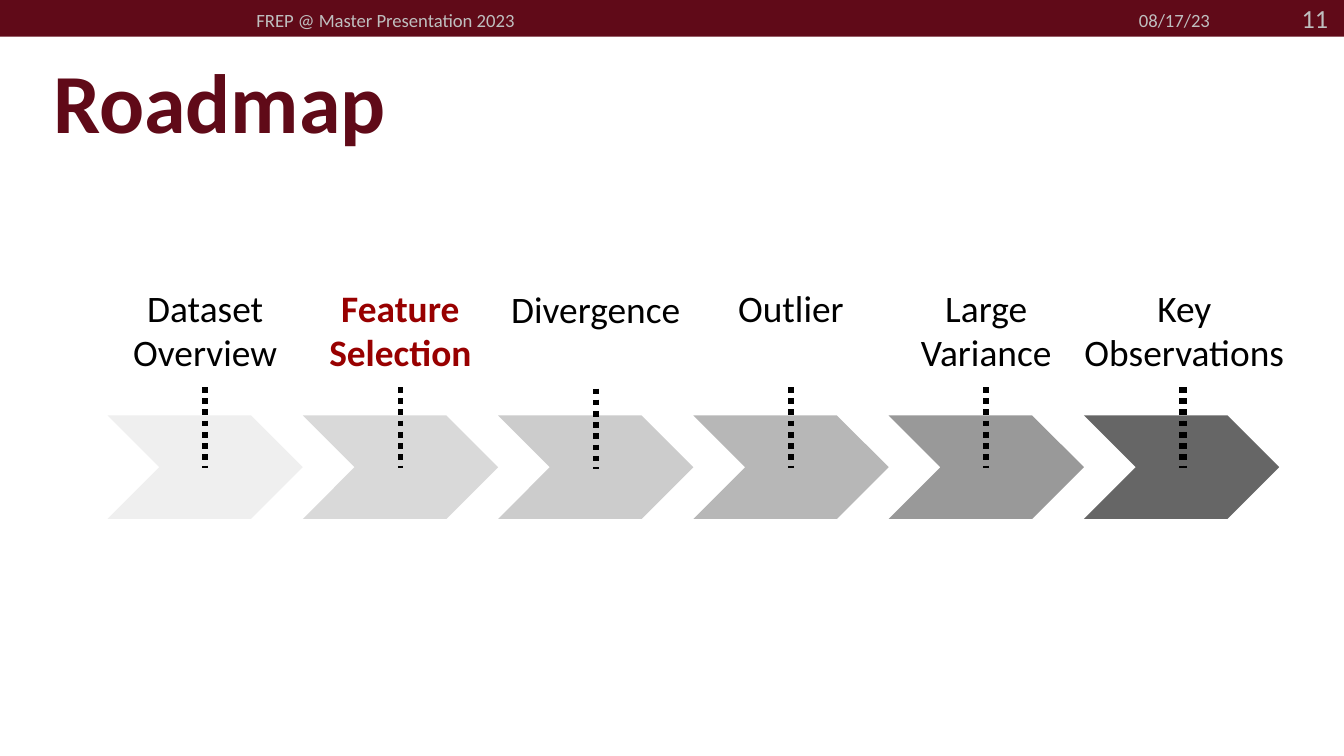
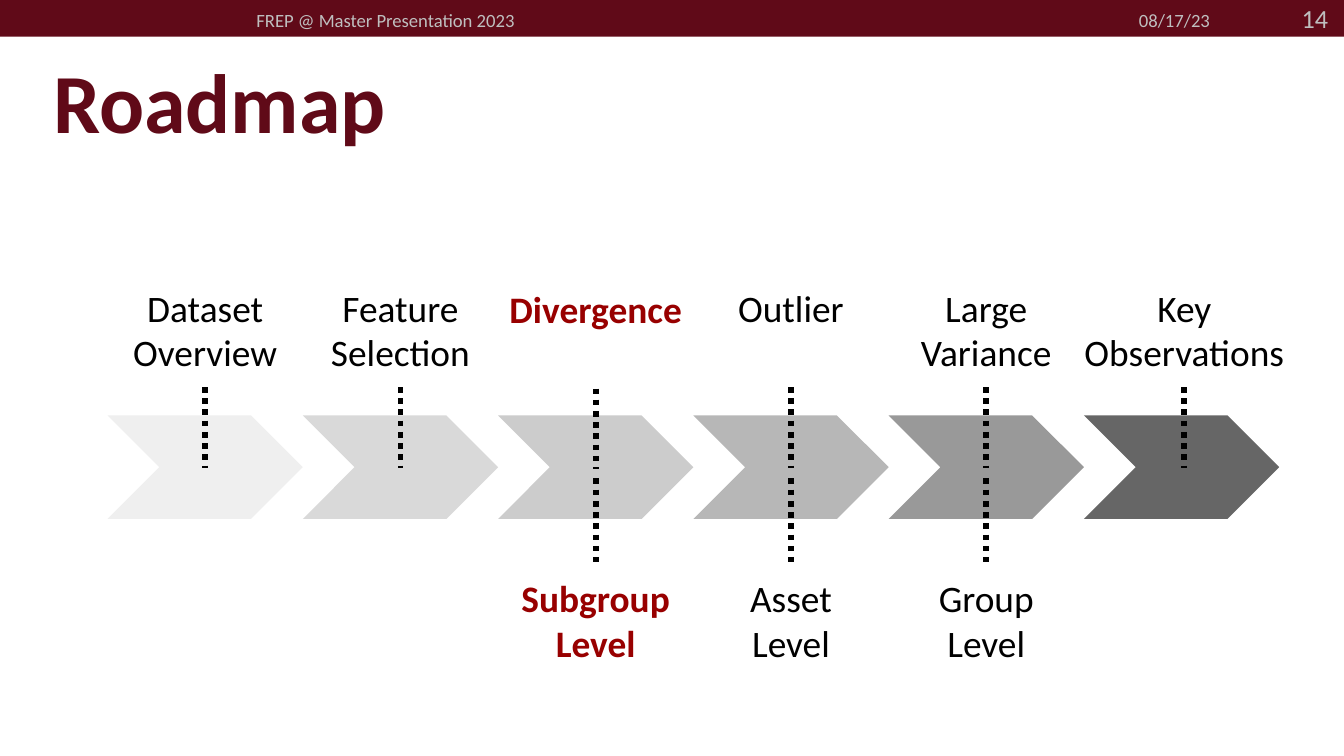
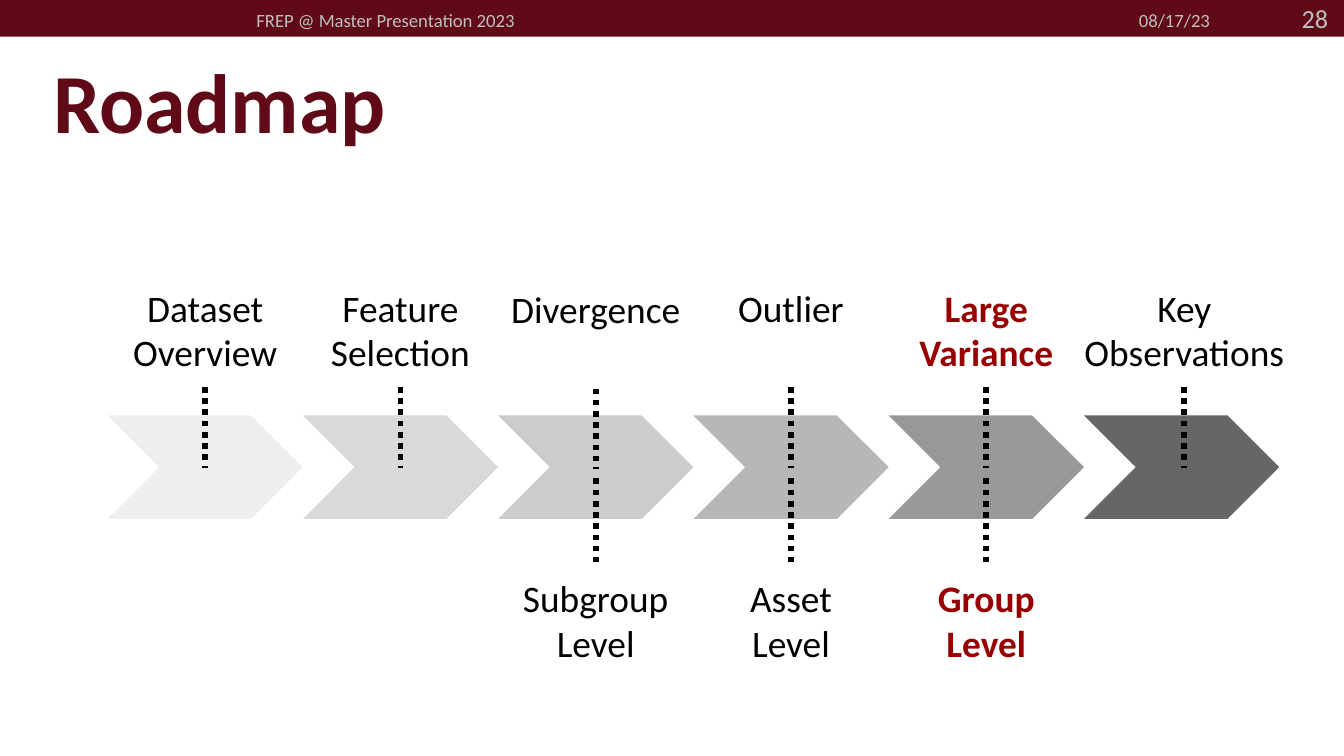
from dataclasses import dataclass
from typing import Optional

from lxml.etree import SubElement
from pptx import Presentation
from pptx.dml.color import RGBColor
from pptx.enum.dml import MSO_LINE
from pptx.enum.shapes import MSO_CONNECTOR, MSO_SHAPE
from pptx.enum.text import MSO_ANCHOR as Anchor, PP_ALIGN as Align
from pptx.oxml.ns import qn
from pptx.util import Inches, Pt


@dataclass(frozen=True)
class Theme:
    font: str = "Calibri"
    maroon: str = "600A18"
    accent: str = "980000"
    ink: str = "000000"
    muted: str = "BFBFBF"
    steps: tuple = ("EFEFEF", "D9D9D9", "CCCCCC", "B7B7B7", "999999", "666666")
    title_size: int = 45
    label_size: int = 20
    number_size: int = 14
    footer_size: int = 10
    dot_width: int = 3


@dataclass(frozen=True)
class Label:
    """Text with its width in columns, plain and highlighted."""
    text: str
    width: float = 1
    bold_width: float = 1
    shift: float = 0  # percent of slide width
    drop: float = 0   # percent of slide height


@dataclass(frozen=True)
class Step:
    topic: Label
    level: Optional[Label] = None


THEME = Theme()
WIDTH = Inches(10)
HEIGHT = WIDTH * 9 // 16

# Roadmap grid, in percent of the slide
GRID_LEFT, COLUMN = 8, 14.53
TOPIC_TOP, LEVEL_TOP, LABEL_HEIGHT = 35.9, 74.3, 15.3
CHEVRON_TOP, CHEVRON_HEIGHT = 54.95, 13.7
TOPIC_DOTS_END, LEVEL_DOTS_START = 61.9, 63.3

STEPS = (
    Step(Label("Dataset Overview")),
    Step(Label("Feature Selection", bold_width=1.06)),
    Step(Label("Divergence", 1.07, 1.27, drop=0.2),
         Label("Subgroup Level", bold_width=1.14)),
    Step(Label("Outlier"), Label("Asset\nLevel")),
    Step(Label("Large Variance"), Label("Group Level")),
    Step(Label("Key Observations", 1.18, 1.18, shift=0.2)),
)


def across(percent):
    return round(WIDTH * percent / 100)


def down(percent):
    return round(HEIGHT * percent / 100)


def area(left, top, width, height):
    return across(left), down(top), across(width), down(height)


def assign(target, values):
    for name, value in values.items():
        setattr(target, name, value)


def add_block(slide, kind, place, color):
    block = slide.shapes.add_shape(kind, *area(*place))
    block.shadow.inherit = False
    block.fill.solid()
    block.fill.fore_color.rgb = RGBColor.from_string(color)
    block.line.fill.background()
    return block


def add_text(slide, text, place, size, color, bold=False,
             align=Align.LEFT, anchor=Anchor.MIDDLE, inset=0.05):
    box = slide.shapes.add_textbox(*area(*place))
    frame = box.text_frame
    assign(frame, {
        "word_wrap": True, "vertical_anchor": anchor, "text": text,
        "margin_left": Inches(0.1), "margin_right": Inches(0.1),
        "margin_top": Inches(inset), "margin_bottom": Inches(inset),
    })
    for paragraph in frame.paragraphs:
        paragraph.alignment = align
        for run in paragraph.runs:
            assign(run.font, {"name": THEME.font, "size": Pt(size), "bold": bold})
            run.font.color.rgb = RGBColor.from_string(color)
    return box


def add_dots(slide, center, top, bottom):
    dots = slide.shapes.add_connector(
        MSO_CONNECTOR.STRAIGHT, across(center), down(top), across(center), down(bottom))
    assign(dots.line, {"width": Pt(THEME.dot_width),
                       "dash_style": MSO_LINE.ROUND_DOT})
    dots.line.color.rgb = RGBColor.from_string(THEME.ink)
    SubElement(dots._element.spPr, qn("a:effectLst"))
    return dots


def add_label(slide, label, center, top, highlighted):
    width = COLUMN * (label.bold_width if highlighted else label.width)
    place = (center + label.shift - width / 2, top + label.drop, width, LABEL_HEIGHT)
    color = THEME.accent if highlighted else THEME.ink
    return add_text(slide, label.text, place, THEME.label_size, color,
                    highlighted, Align.CENTER, Anchor.TOP, inset=0.1)


def add_frame(slide, number):
    # Band, title and header texts shared by all slides
    add_block(slide, MSO_SHAPE.RECTANGLE, (0, 0, 100, 4.85), THEME.maroon)
    add_text(slide, "Roadmap", (3, 4.1, 94.3, 16.7), THEME.title_size,
             THEME.maroon, bold=True, anchor=Anchor.BOTTOM)
    for text, place, size, align in (
        ("08/17/23", (73.1, 0.7, 17.9, 3.9), THEME.footer_size, Align.RIGHT),
        ("FREP @ Master Presentation 2023", (18.1, 0.7, 35.6, 3.9),
         THEME.footer_size, Align.LEFT),
        (str(number), (91, -0.2, 8.8, 5.3), THEME.number_size, Align.RIGHT),
    ):
        add_text(slide, text, place, size, THEME.muted, align=align)


def add_roadmap(slide, current, show_levels):
    # Chevrons lie behind the dotted lines
    for column, color in enumerate(THEME.steps):
        add_block(slide, MSO_SHAPE.CHEVRON,
                  (GRID_LEFT + column * COLUMN, CHEVRON_TOP, COLUMN, CHEVRON_HEIGHT),
                  color)

    for column, step in enumerate(STEPS):
        center = GRID_LEFT + (column + 0.5) * COLUMN
        highlighted = column == current
        topic = add_label(slide, step.topic, center, TOPIC_TOP, highlighted)
        topic_dots = add_dots(slide, center + step.topic.shift,
                              TOPIC_TOP + LABEL_HEIGHT,
                              TOPIC_DOTS_END + step.topic.drop)
        topic_dots.begin_connect(topic, 2)
        if show_levels and step.level:
            level = add_label(slide, step.level, center, LEVEL_TOP, highlighted)
            level_dots = add_dots(slide, center, LEVEL_DOTS_START, LEVEL_TOP)
            level_dots.end_connect(level, 0)

    # Without levels, the last step carries a doubled dotted line
    if not show_levels:
        add_dots(slide, center, TOPIC_TOP + LABEL_HEIGHT, TOPIC_DOTS_END)


def main():
    deck = Presentation()
    assign(deck, {"slide_width": WIDTH, "slide_height": HEIGHT})
    for number, current, show_levels in ((11, 1, False), (14, 2, True), (28, 4, True)):
        slide = deck.slides.add_slide(deck.slide_layouts[6])
        add_frame(slide, number)
        add_roadmap(slide, current, show_levels)
    deck.save("out.pptx")


if __name__ == "__main__":
    main()
